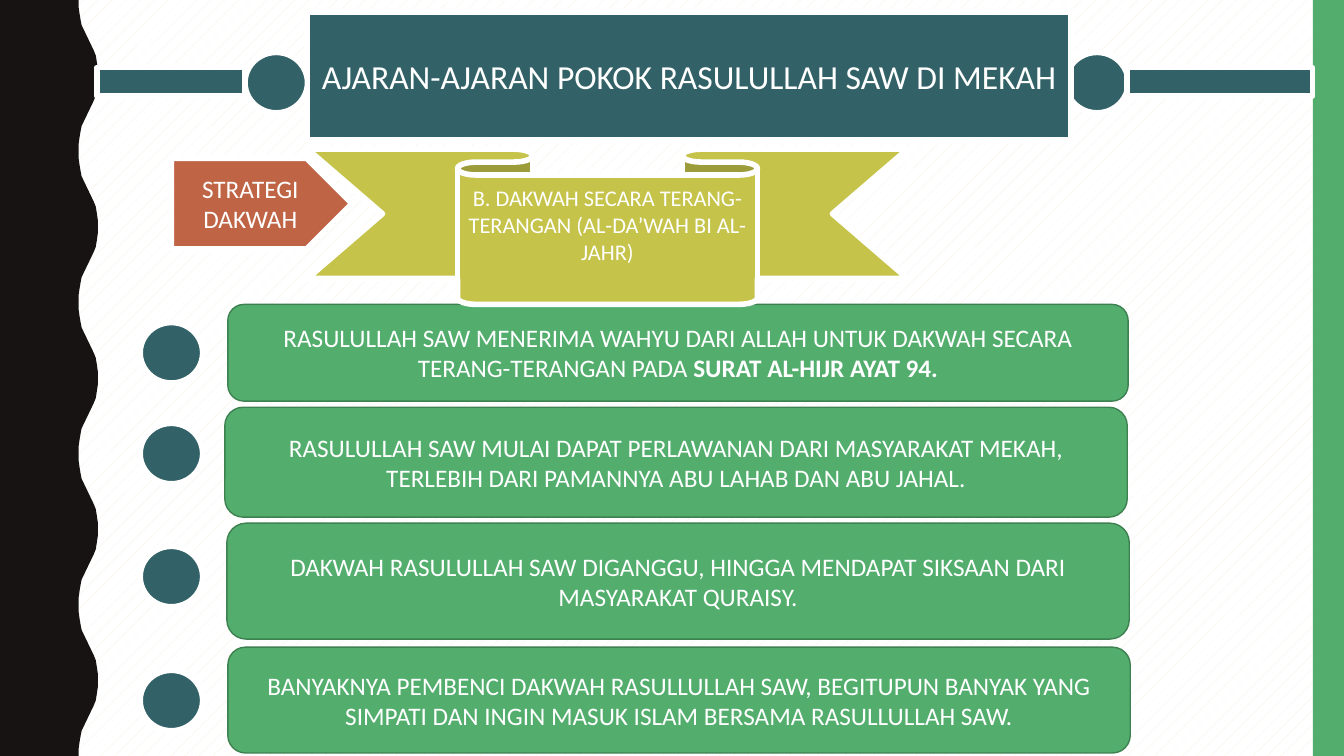
from lxml.etree import SubElement
from pptx import Presentation
from pptx.dml.color import RGBColor
from pptx.enum.dml import MSO_PATTERN
from pptx.enum.shapes import MSO_SHAPE as Form
from pptx.enum.text import MSO_ANCHOR as Anchor, PP_ALIGN as Align
from pptx.oxml.ns import qn
from pptx.util import Inches, Pt

WHITE = RGBColor(0xFF, 0xFF, 0xFF)
CREAM = RGBColor(0xF7, 0xF0, 0xDF)
BLACK = RGBColor(0x17, 0x13, 0x12)
TEAL = RGBColor(0x32, 0x62, 0x67)
GREEN = RGBColor(0x53, 0xAE, 0x6E)
EDGE = RGBColor(0x3D, 0x81, 0x51)
RUST = RGBColor(0xBF, 0x65, 0x46)
OLIVE = RGBColor(0xC5, 0xC3, 0x4A)

WIDE, HIGH = 13.33, 7.5
DOT_W, DOT_H = 0.62, 0.6
BAR_H = 0.28

# One half wave of the left edge, as (x, y); the other half mirrors it
WAVE = 1.5
HALF = [(0.78, 0), (0.78, 0.07), (0.79, 0.14), (0.8, 0.2), (0.81, 0.25),
        (0.93, 0.5), (0.95, 0.55), (0.96, 0.61), (0.97, 0.68), (0.97, 0.75)]

# Each point: box, top of its dot, runs of text (every second run is bold)
POINTS = [
    ((2.26, 3.02, 8.93, 0.96), 3.2,
     ["RASULULLAH SAW MENERIMA WAHYU DARI ALLAH UNTUK DAKWAH SECARA "
      "TERANG-TERANGAN PADA ", "SURAT AL-HIJR AYAT 94."]),
    ((2.23, 4.04, 8.95, 1.09), 4.2,
     ["RASULULLAH SAW MULAI DAPAT PERLAWANAN DARI MASYARAKAT MEKAH, "
      "TERLEBIH DARI PAMANNYA ABU LAHAB DAN ABU JAHAL."]),
    ((2.25, 5.19, 8.95, 1.15), 5.42,
     ["DAKWAH RASULULLAH SAW DIGANGGU, HINGGA MENDAPAT SIKSAAN DARI "
      "MASYARAKAT QURAISY."]),
    ((2.26, 6.42, 8.95, 1.05), 6.65,
     ["BANYAKNYA PEMBENCI DAKWAH RASULLULLAH SAW, BEGITUPUN BANYAK YANG "
      "SIMPATI DAN INGIN MASUK ISLAM BERSAMA RASULLULLAH SAW."]),
]


def paint(shape, fill, line=WHITE, width=4):
    shape.fill.solid()
    shape.fill.fore_color.rgb = fill
    if line is None:
        shape.line.fill.background()
    else:
        shape.line.color.rgb = line
        shape.line.width = Pt(width)


def add(slide, form, box, fill, line=WHITE, width=4):
    shape = slide.shapes.add_shape(form, *map(Inches, box))
    shape.shadow.inherit = False
    paint(shape, fill, line, width)
    return shape


def write(shape, parts, size):
    frame = shape.text_frame
    frame.word_wrap = True
    frame.vertical_anchor = Anchor.MIDDLE
    para = frame.paragraphs[0]
    para.alignment = Align.CENTER
    for i, part in enumerate(parts):
        run = para.add_run()
        run.text = part
        run.font.name = "Calibri"
        run.font.size = Pt(size)
        run.font.color.rgb = WHITE
        run.font.bold = i % 2 == 1


def backdrop(slide):
    fill = slide.background.fill
    fill.patterned()
    fill.pattern = MSO_PATTERN.PERCENT_5
    fill.fore_color.rgb = CREAM
    fill.back_color.rgb = WHITE

    # Wavy band on the left
    full = HALF + [(x, WAVE - y) for x, y in HALF[-2::-1]]
    edge = [(x, y + k * WAVE) for k in range(5) for x, y in full]
    dots = [(Inches(x), Inches(y)) for x, y in edge + [(0, HIGH)]]
    pen = slide.shapes.build_freeform(0, 0, scale=1.0)
    pen.add_line_segments(dots, close=True)
    band = pen.convert_to_shape()
    band.shadow.inherit = False
    paint(band, BLACK, None)

    # Straight band on the right
    add(slide, Form.RECTANGLE, (13.02, 0, WIDE - 13.02, HIGH), GREEN, None)


def header(slide, box):
    left, top, width, height = box
    right = left + width

    # Dots and bars on both sides
    for dot, bar, span in ((left - DOT_W, 0.96, 1.47),
                           (right - 0.05, 11.18, 1.84)):
        add(slide, Form.OVAL, (dot, top + 0.4, DOT_W, DOT_H), TEAL)
        add(slide, Form.RECTANGLE, (bar, top + 0.55, span, BAR_H), TEAL)

    # Title, brought above the dots
    title = slide.shapes.title
    title.left, title.top, title.width, title.height = map(Inches, box)
    geom = SubElement(title.element.spPr, qn("a:prstGeom"), prst="roundRect")
    SubElement(geom, qn("a:avLst"))
    paint(title, TEAL)
    write(title, ["AJARAN-AJARAN POKOK RASULULLAH SAW DI MEKAH"], 24)
    slide.shapes.element.append(title.element)


def banner(slide, box):
    left, top, width, height = box
    tag = add(slide, Form.PENTAGON, (left, top + 0.09, 1.79, 0.9), RUST)
    write(tag, ["STRATEGI DAKWAH"], 18)
    ribbon = add(slide, Form.DOWN_RIBBON,
                 (left + 1.35, top, width - 1.35, height), OLIVE)
    write(ribbon,
          ["B. DAKWAH SECARA TERANG-TERANGAN (AL-DA’WAH BI AL-JAHR)"], 16)
    ribbon.text_frame.margin_bottom = Inches(0.35)


def point(slide, box, dot, parts):
    card = add(slide, Form.ROUNDED_RECTANGLE, box, GREEN, EDGE, 1)
    write(card, parts, 18)
    add(slide, Form.OVAL, (1.39, dot, DOT_W, DOT_H), TEAL)


def main():
    deck = Presentation()
    deck.slide_width, deck.slide_height = Inches(WIDE), Inches(HIGH)
    slide = deck.slides.add_slide(deck.slide_layouts[5])
    backdrop(slide)
    header(slide, (3.05, 0.12, 7.57, 1.27))
    for box, dot, parts in POINTS:
        point(slide, box, dot, parts)
    banner(slide, (1.7, 1.48, 7.3, 1.54))
    deck.save("out.pptx")


if __name__ == "__main__":
    main()
